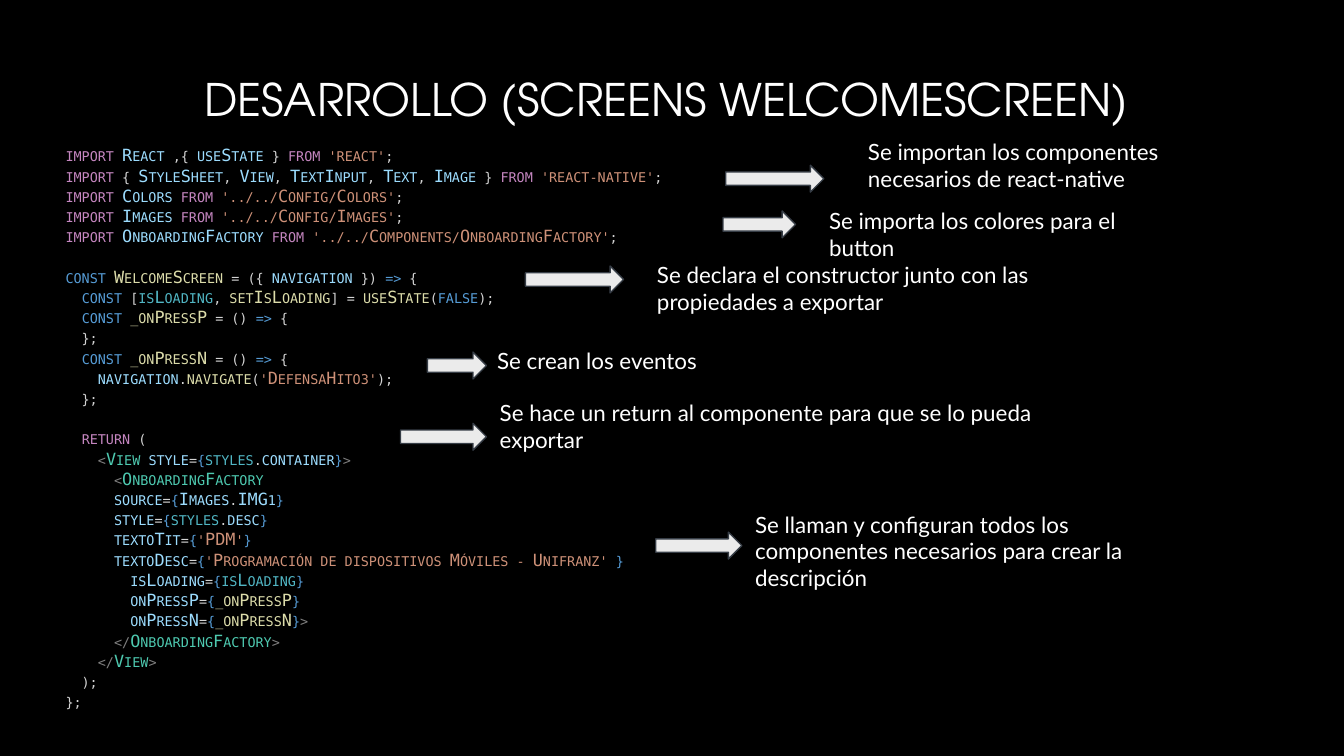
from pptx import Presentation
from pptx.dml.color import RGBColor
from pptx.enum.shapes import MSO_SHAPE
from pptx.enum.text import MSO_ANCHOR, MSO_AUTO_SIZE, PP_ALIGN
from pptx.util import Inches, Pt

BLACK = RGBColor(0x00, 0x00, 0x00)
WHITE = RGBColor(0xFF, 0xFF, 0xFF)
TITLE_GREY = RGBColor(0xA6, 0xA6, 0xA6)
ARROW_FILL = RGBColor(0xEB, 0xEB, 0xEB)
ARROW_LINE = RGBColor(0x36, 0x3D, 0x46)

# Syntax colours
KEYWORD = RGBColor(0xC5, 0x86, 0xC0)
VARIABLE = RGBColor(0x9C, 0xDC, 0xFE)
PLAIN = RGBColor(0xD4, 0xD4, 0xD4)
STRING = RGBColor(0xCE, 0x91, 0x78)
BLUE = RGBColor(0x56, 0x9C, 0xD6)
FUNCTION = RGBColor(0xDC, 0xDC, 0xAA)
CONSTANT = RGBColor(0x51, 0xB6, 0xC4)
COMPONENT = RGBColor(0x4E, 0xC9, 0xB0)
BRACKET = RGBColor(0x80, 0x80, 0x80)


# Patterns that recur in the code; a line is a list of (colour, text)
def import_line(name, source):
    return [(KEYWORD, "import "), (VARIABLE, name + " "), (KEYWORD, "from "),
            (STRING, source), (PLAIN, ";")]


def import_names(before, names, source):
    line = [(KEYWORD, "import"), *before]
    for index, name in enumerate(names):
        if index:
            line.append((PLAIN, ", "))
        line.append((VARIABLE, name))
    return line + [(PLAIN, " } "), (KEYWORD, "from "), (STRING, source), (PLAIN, ";")]


def handler(name):
    return [(PLAIN, "  "), (BLUE, "const "), (FUNCTION, name), (PLAIN, " = () "),
            (BLUE, "=>"), (PLAIN, " {")]


def attribute(name, *value):
    return [(VARIABLE, name), (PLAIN, "="), (BLUE, "{"), *value, (BLUE, "}")]


def property_line(indent, name, *value):
    return [(PLAIN, " " * indent), *attribute(name, *value)]


def style_value(name):
    return (CONSTANT, "styles"), (PLAIN, "."), (VARIABLE, name)


def closing_tag(indent, name):
    return [(PLAIN, " " * indent), (BRACKET, "</"), (COMPONENT, name), (BRACKET, ">")]


CODE = [
    import_names([(VARIABLE, " React"), (PLAIN, " ,{ ")], ["useState"], "'react'"),
    import_names([(PLAIN, " { ")],
                 ["StyleSheet", "View", "TextInput", "Text", "Image"], "'react-native'"),
    import_line("Colors", "'../../Config/Colors'"),
    import_line("Images", "'../../Config/Images'"),
    import_line("OnboardingFactory", "'../../Components/OnboardingFactory'"),
    [(PLAIN, "\n"), (BLUE, "const "), (FUNCTION, "WelcomeScreen"), (PLAIN, " = ({ "),
     (VARIABLE, "navigation"), (PLAIN, " }) "), (BLUE, "=>"), (PLAIN, " {")],
    [(PLAIN, "  "), (BLUE, "const"), (PLAIN, " ["), (CONSTANT, "isLoading"),
     (PLAIN, ", "), (FUNCTION, "setIsLoading"), (PLAIN, "] = "),
     (FUNCTION, "useState"), (PLAIN, "("), (BLUE, "false"), (PLAIN, ");")],
    handler("_onPressP"),
    [(PLAIN, "  };")],
    handler("_onPressN"),
    [(PLAIN, "    "), (VARIABLE, "navigation"), (PLAIN, "."), (FUNCTION, "navigate"),
     (PLAIN, "("), (STRING, "'DefensaHito3'"), (PLAIN, ");")],
    [(PLAIN, "  };")],
    [(PLAIN, "\n  "), (KEYWORD, "return"), (PLAIN, " (")],
    [(PLAIN, "    "), (BRACKET, "<"), (COMPONENT, "View "),
     *attribute("style", *style_value("container")), (BRACKET, ">")],
    [(PLAIN, "      "), (BRACKET, "<"), (COMPONENT, "OnboardingFactory ")],
    property_line(6, "source", (VARIABLE, "Images"), (PLAIN, "."), (VARIABLE, "IMG1")),
    property_line(6, "style", *style_value("desc")),
    property_line(6, "textoTit", (STRING, "'PDM'")),
    property_line(6, "textoDesc",
                  (STRING, "'Programación de dispositivos Móviles - Unifranz' ")),
    property_line(8, "isLoading", (CONSTANT, "isLoading")),
    property_line(8, "onPressP", (FUNCTION, "_onPressP")),
    property_line(8, "onPressN", (FUNCTION, "_onPressN")) + [(BRACKET, ">")],
    closing_tag(6, "OnboardingFactory"),
    closing_tag(4, "View"),
    [(PLAIN, "  );")],
    [(PLAIN, "};")],
]

# Arrow (left, top, width), note (left, top, width, height), wording
CALLOUTS = [
    ((5.4, 1.23, 0.73), (6.36, 0.93, 2.59, 0.65),
     "Se importan los componentes necesarios de react-native"),
    ((5.38, 1.57, 0.54), (6.07, 1.44, 2.59, 0.65),
     "Se importa los colores para el button"),
    ((3.91, 1.98, 0.73), (4.79, 1.84, 3.07, 0.65),
     "Se declara el constructor junto con las propiedades a exportar"),
    ((3.18, 2.62, 0.44), (3.6, 2.48, 1.78, 0.41), "Se crean los eventos"),
    ((2.98, 3.15, 0.64), (3.62, 2.87, 4.44, 0.58),
     "Se hace un return al componente para que se lo pueda exportar"),
    ((4.88, 3.96, 0.64), (5.52, 3.7, 3.07, 0.66),
     "Se llaman y configuran todos los componentes necesarios para crear la descripción"),
]


class SlideBuilder:
    title_font = "TeX Gyre Adventor"
    code_font = "DejaVu Sans Mono"
    note_font = "Lato"
    arrow_height = 0.2

    def __init__(self, page):
        self.page = page
        page.background.fill.solid()
        page.background.fill.fore_color.rgb = BLACK

    def set_frame(self, shape):
        frame = shape.text_frame
        frame.word_wrap = True
        frame.auto_size = MSO_AUTO_SIZE.NONE
        frame.vertical_anchor = MSO_ANCHOR.TOP
        frame.margin_left = frame.margin_right = Inches(0.1)
        frame.margin_top = frame.margin_bottom = Inches(0.1)
        return frame

    def text_box(self, *place):
        return self.set_frame(self.page.shapes.add_textbox(*map(Inches, place)))

    def title(self, text, left, top, width, height):
        shape = self.page.shapes.title
        shape.left, shape.top = Inches(left), Inches(top)
        shape.width, shape.height = Inches(width), Inches(height)
        para = self.set_frame(shape).paragraphs[0]
        para.text = text
        para.alignment = PP_ALIGN.LEFT
        para.font.name, para.font.size = self.title_font, Pt(24)
        fill = para.font.fill
        fill.gradient()
        fill.gradient_angle = 267
        for stop, colour in zip(fill.gradient_stops, (WHITE, TITLE_GREY)):
            stop.color.rgb = colour

    def code(self, lines, *place):
        frame = self.text_box(*place)
        for index, line in enumerate(lines):
            para = frame.add_paragraph() if index else frame.paragraphs[0]
            para.line_spacing = Pt(10.82)
            para._p.get_or_add_pPr().set("marL", str(Inches(0.16)))
            para.font.name, para.font.size = self.code_font, Pt(9)
            para.font._element.set("cap", "small")
            for colour, text in line:
                if text.startswith("\n"):
                    para.add_line_break()
                    text = text[1:]
                if text:
                    span = para.add_run()
                    span.text = text
                    span.font.color.rgb = colour

    def arrow(self, left, top, width):
        shape = self.page.shapes.add_shape(
            MSO_SHAPE.RIGHT_ARROW, *map(Inches, (left, top, width, self.arrow_height)))
        shape.shadow.inherit = False
        shape.fill.solid()
        shape.fill.fore_color.rgb = ARROW_FILL
        shape.line.color.rgb = ARROW_LINE
        shape.line.width = Pt(0.75)

    def note(self, text, *place):
        para = self.text_box(*place).paragraphs[0]
        para.text = text
        para.font.name, para.font.size = self.note_font, Pt(12)
        para.font.color.rgb = WHITE


def main():
    deck = Presentation()
    # Widescreen, 16:9
    deck.slide_width = Inches(10)
    deck.slide_height = deck.slide_width * 9 // 16
    builder = SlideBuilder(deck.slides.add_slide(deck.slide_layouts[5]))
    builder.title("DESARROLLO (SCREENS WELCOMESCREEN)", 1.42, 0.43, 7.7, 1)
    builder.code(CODE, 0.23, 0.98, 4.97, 4.49)
    for arrow, note, text in CALLOUTS:
        builder.arrow(*arrow)
        builder.note(text, *note)
    deck.save("out.pptx")


if __name__ == "__main__":
    main()
